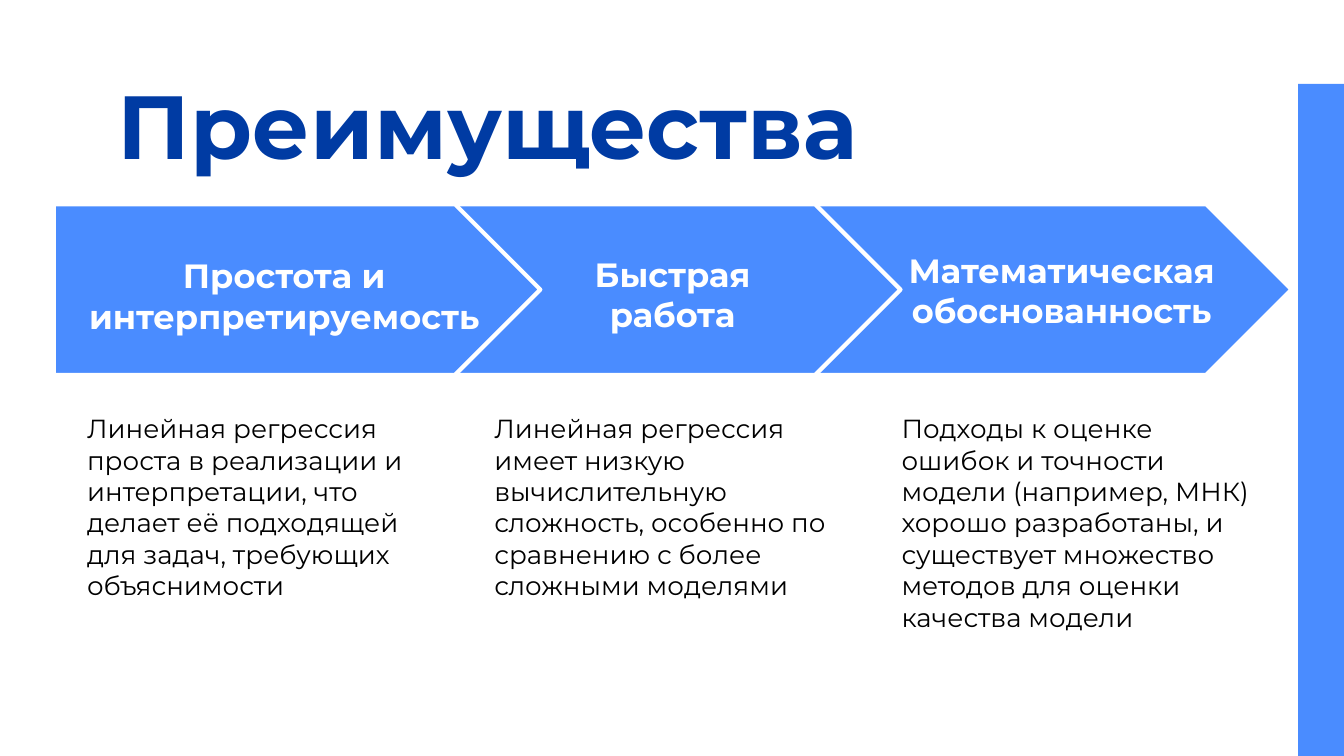
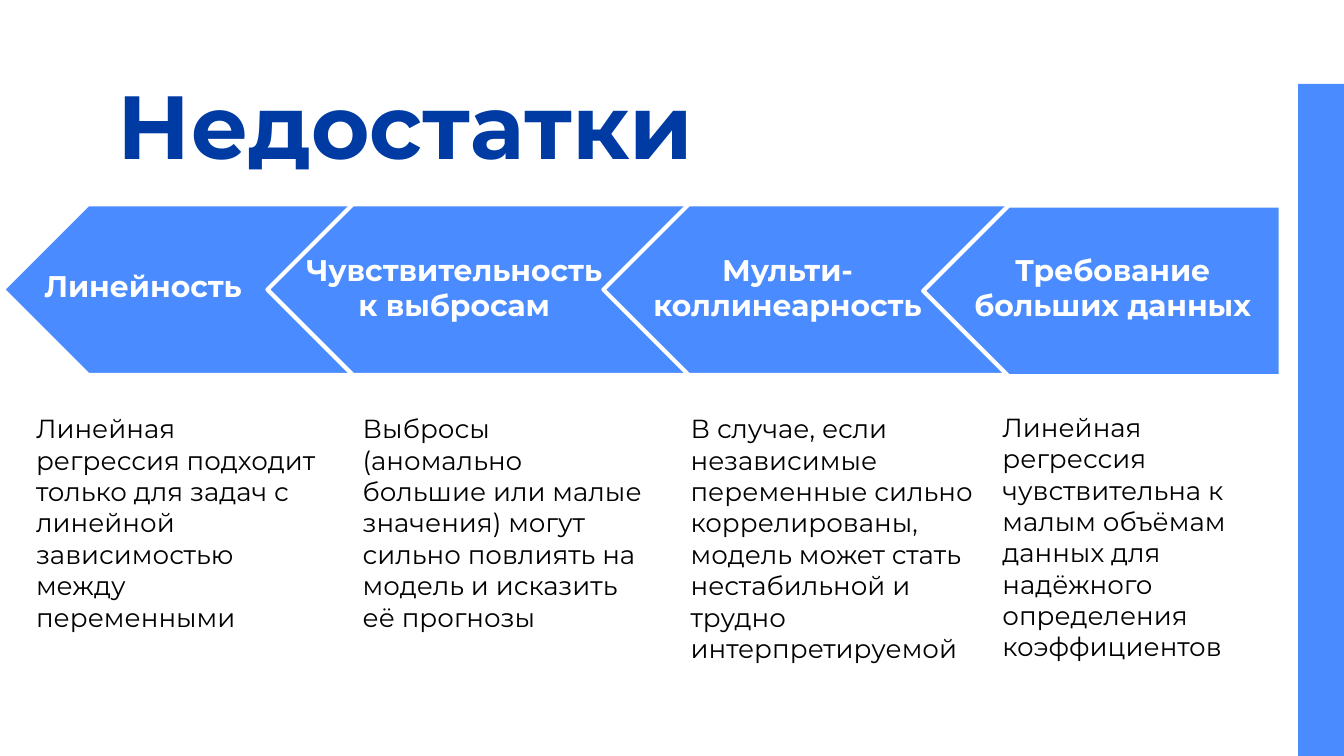
from dataclasses import dataclass
from typing import NamedTuple

from pptx import Presentation
from pptx.dml.color import RGBColor
from pptx.enum.shapes import MSO_SHAPE
from pptx.enum.text import MSO_ANCHOR, PP_ALIGN
from pptx.util import Inches, Pt

RECTANGLE, PENTAGON = MSO_SHAPE.RECTANGLE, MSO_SHAPE.PENTAGON
LEFT, CENTER = PP_ALIGN.LEFT, PP_ALIGN.CENTER
TOP = MSO_ANCHOR.TOP
BLANK_LAYOUT = 6


@dataclass(frozen=True)
class Theme:
    font: str = "Montserrat"
    blue: str = "4A8CFF"
    navy: str = "003BA3"
    white: str = "FFFFFF"
    black: str = "000000"
    title_size: int = 48
    body_size: int = 14
    outline: float = 2.25


class Step(NamedTuple):
    """Each span is (left, width) in inches."""
    heading: str
    body: str
    arrow: tuple
    heading_span: tuple
    heading_top: float
    body_span: tuple
    body_top: float = 2.97
    body_height: float = 1.82
    arrow_top: float = 1.52


THEME = Theme()
WIDTH = 10
HEIGHT = WIDTH * 9 / 16
BAND_WIDTH, BAND_HEIGHT = 0.34, 5
TITLE_BOX = (0.78, 0.42, 8.43, 0.71)
ARROW_HEIGHT = 1.27
HEADING_HEIGHT = 0.78
INSET, BODY_INDENT = 0.1, 0.15
COLUMN_LEFT, COLUMN_WIDTH = 0.4, 3.03


def column(index):
    return COLUMN_LEFT + index * COLUMN_WIDTH, COLUMN_WIDTH


SLIDES = [
    {
        "title": "Преимущества", "heading_size": 18, "points_left": False,
        "steps": [
            Step("Простота и интерпретируемость",
                 "Линейная регрессия проста в реализации и интерпретации, что делает её "
                 "подходящей для задач, требующих объяснимости",
                 (0.4, 3.62), (0.51, 3.21), 1.8, column(0)),
            Step("Быстрая работа",
                 "Линейная регрессия имеет низкую вычислительную сложность, особенно по "
                 "сравнению с более сложными моделями",
                 (2.99, 3.71), (3.83, 2.35), 1.79, column(1)),
            Step("Математическая обоснованность",
                 "Подходы к оценке ошибок и точности модели (например, МНК) хорошо "
                 "разработаны, и существует множество методов для оценки качества модели",
                 (5.52, 4.09), (6.58, 2.64), 1.76, (column(2)[0], 3.07)),
        ],
    },
    {
        "title": "Недостатки", "heading_size": 16, "points_left": True,
        "steps": [
            Step("Линейность",
                 "Линейная регрессия подходит только для задач с линейной зависимостью "
                 "между переменными",
                 (0.02, 3.11), (-0.52, 3.17), 1.89, (0.02, 2.44)),
            Step("Чувствительность к выбросам",
                 "Выбросы (аномально большие или малые значения) могут сильно повлиять "
                 "на модель и исказить её прогнозы",
                 (1.99, 3.61), (2.13, 2.5), 1.77, (2.45, 2.44)),
            Step("Мульти-коллинеарность",
                 "В случае, если независимые переменные сильно коррелированы, модель "
                 "может стать нестабильной и трудно интерпретируемой",
                 (4.49, 3.66), (4.72, 2.28), 1.77, (4.89, 2.55)),
            Step("Требование больших данных",
                 "Линейная регрессия чувствительна к малым объёмам данных для надёжного "
                 "определения коэффициентов",
                 (6.87, 2.66), (6.93, 2.7), 1.77, (7.21, 2.42),
                 body_top=2.96, body_height=2.06, arrow_top=1.53),
        ],
    },
]


def add_text(slide, text, box, *, size, color, bold=False, align=LEFT, indent=0, space_after=0):
    frame = slide.shapes.add_textbox(*map(Inches, box)).text_frame
    frame.word_wrap = True
    frame.vertical_anchor = TOP
    frame.margin_left = frame.margin_right = Inches(INSET)
    frame.margin_top = frame.margin_bottom = Inches(INSET)
    paragraph = frame.paragraphs[0]
    paragraph.alignment = align
    paragraph.space_after = Pt(space_after)
    if indent:
        properties = paragraph._p.get_or_add_pPr()
        properties.set("marL", str(Inches(indent)))
        properties.set("indent", "0")
    run = paragraph.add_run()
    run.text = text
    run.font.name = THEME.font
    run.font.size = Pt(size)
    run.font.bold = bold
    run.font.color.rgb = RGBColor.from_string(color)


def add_blue_shape(slide, kind, box):
    shape = slide.shapes.add_shape(kind, *map(Inches, box))
    shape.shadow.inherit = False
    shape.fill.solid()
    shape.fill.fore_color.rgb = RGBColor.from_string(THEME.blue)
    shape.line.fill.background()
    return shape


def add_arrow(slide, step, points_left):
    left, width = step.arrow
    arrow = add_blue_shape(slide, PENTAGON, (left, step.arrow_top, width, ARROW_HEIGHT))
    arrow.adjustments[0] = 0.5
    arrow.line.color.rgb = RGBColor.from_string(THEME.white)
    arrow.line.width = Pt(THEME.outline)
    if points_left:
        arrow.element.spPr.xfrm.set("flipH", "1")


def add_step_text(slide, step, heading_size):
    left, width = step.heading_span
    add_text(slide, step.heading, (left, step.heading_top, width, HEADING_HEIGHT),
             size=heading_size, color=THEME.white, bold=True, align=CENTER, space_after=16)
    left, width = step.body_span
    add_text(slide, step.body, (left, step.body_top, width, step.body_height),
             size=THEME.body_size, color=THEME.black, indent=BODY_INDENT)


def add_arrow_slide(presentation, content):
    slide = presentation.slides.add_slide(presentation.slide_layouts[BLANK_LAYOUT])
    add_blue_shape(slide, RECTANGLE,
                   (WIDTH - BAND_WIDTH, HEIGHT - BAND_HEIGHT, BAND_WIDTH, BAND_HEIGHT))
    add_text(slide, content["title"], TITLE_BOX,
             size=THEME.title_size, color=THEME.navy, bold=True)
    steps, points_left = content["steps"], content["points_left"]
    # Each arrow's tip must lie over its neighbour's flat end.
    for step in steps if points_left else reversed(steps):
        add_arrow(slide, step, points_left)
    for step in steps:
        add_step_text(slide, step, content["heading_size"])


def main():
    presentation = Presentation()
    presentation.slide_width = Inches(WIDTH)
    presentation.slide_height = Inches(HEIGHT)
    for content in SLIDES:
        add_arrow_slide(presentation, content)
    presentation.save("out.pptx")


if __name__ == "__main__":
    main()
